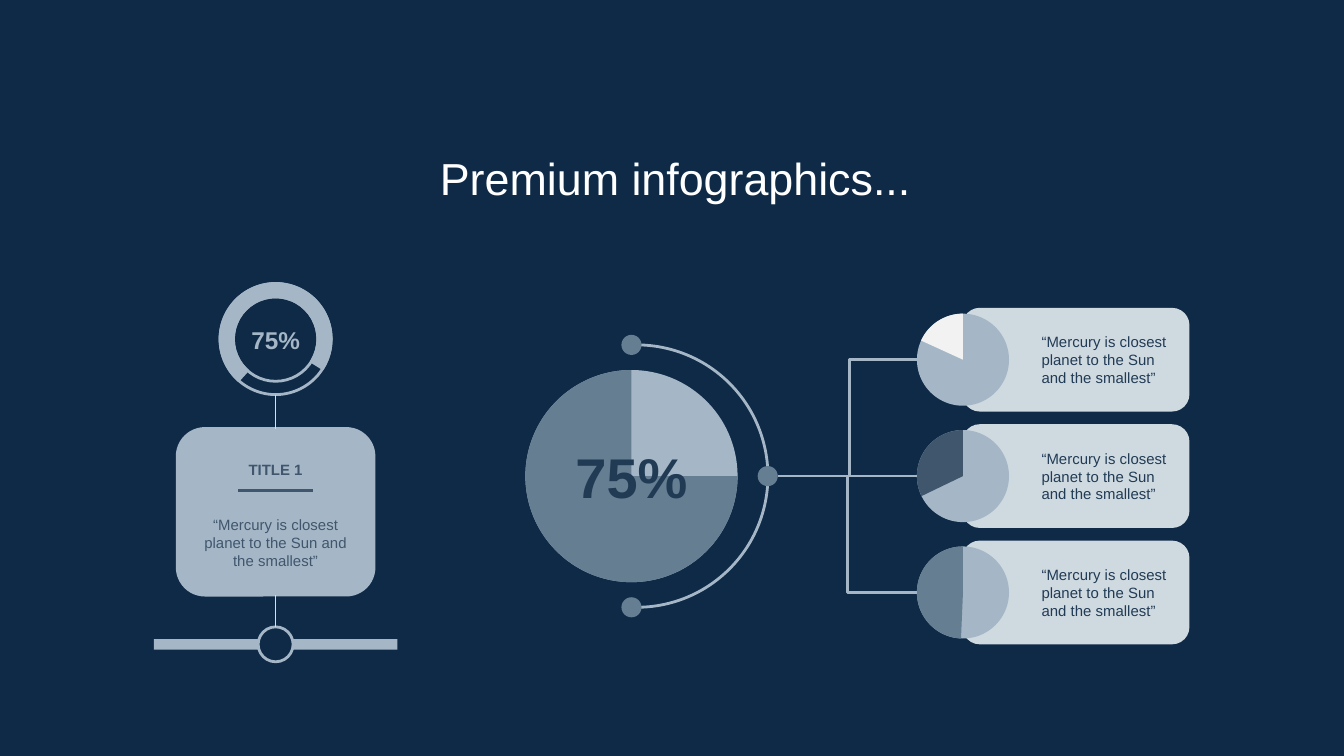
from dataclasses import dataclass

from lxml import etree
from pptx import Presentation
from pptx import util as u
from pptx.dml.color import RGBColor
from pptx.enum import shapes, text
from pptx.oxml.ns import qn

SHAPE = shapes.MSO_SHAPE
QUOTE = "“Mercury is closest planet to the Sun and the smallest”"


@dataclass(frozen=True)
class Theme:
    navy: str = "0E2A47"
    ink: str = "213B55"
    slate: str = "40566D"
    steel: str = "667E92"
    mist: str = "A5B7C6"
    stem: str = "D7DFE5"
    card: str = "CFD9E0"
    pale: str = "F2F2F2"
    white: str = "FFFFFF"
    font: str = "Arial"
    title_size: float = 24
    gauge_size: float = 30
    ring_size: float = 13
    body_size: float = 8
    line: float = 1.5
    thin_line: float = 0.75


@dataclass(frozen=True)
class Box:
    left: float
    top: float
    width: float
    height: float

    @property
    def center_x(self):
        return self.left + self.width / 2

    @property
    def center_y(self):
        return self.top + self.height / 2

    def lengths(self):
        return [u.Cm(n) for n in (self.left, self.top, self.width, self.height)]


THEME = Theme()


def centered(x, y, width, height=None):
    height = height or width
    return Box(x - width / 2, y - height / 2, width, height)


def color(value):
    return RGBColor.from_string(value)


def add_shape(parent, kind, box, fill=None, line=None, adjustments=()):
    shape = parent.shapes.add_shape(kind, *box.lengths())
    shape.shadow.inherit = False
    for index, value in enumerate(adjustments):
        shape.adjustments[index] = value
    if fill:
        shape.fill.solid()
        shape.fill.fore_color.rgb = color(fill)
    else:
        shape.fill.background()
    if line:
        shape.line.color.rgb = color(line)
        shape.line.width = u.Pt(THEME.line)
    else:
        shape.line.fill.background()
    return shape


def write(shape, words, size, ink, bold=False, align=text.PP_ALIGN.CENTER,
          anchor=text.MSO_ANCHOR.MIDDLE):
    frame = shape.text_frame
    frame.word_wrap = True
    frame.auto_size = text.MSO_AUTO_SIZE.NONE
    frame.vertical_anchor = anchor
    frame.margin_left = frame.margin_right = u.Cm(0.25)
    frame.margin_top = frame.margin_bottom = u.Cm(0.25)
    paragraph = frame.paragraphs[0]
    paragraph.alignment = align
    run = paragraph.add_run()
    run.text = words
    run.font.name = THEME.font
    run.font.size = u.Pt(size)
    run.font.bold = bold
    run.font.color.rgb = color(ink)


def add_text(slide, box, *args, **options):
    write(slide.shapes.add_textbox(*box.lengths()), *args, **options)


def add_line(slide, start, end, ink, width=THEME.line, bend=None):
    kinds = shapes.MSO_CONNECTOR
    kind = kinds.STRAIGHT if bend is None else kinds.ELBOW
    connector = slide.shapes.add_connector(kind, *[u.Cm(n) for n in start + end])
    connector.line.color.rgb = color(ink)
    connector.line.width = u.Pt(width)
    properties = connector._element.spPr
    etree.SubElement(properties, qn("a:effectLst"))
    if bend is not None:
        guides = properties.find(".//" + qn("a:avLst"))
        etree.SubElement(guides, qn("a:gd"), name="adj1", fmla=f"val {round(bend * 100000)}")


def add_pie(slide, box, wedge_color, start, end):
    group = slide.shapes.add_group_shape()
    add_shape(group, SHAPE.OVAL, box, THEME.mist)
    add_shape(group, SHAPE.PIE, box, wedge_color, adjustments=(start, end))


def add_title(slide, box):
    title = slide.shapes.title
    title.left, title.top, title.width, title.height = box.lengths()
    write(title, "Premium infographics...", THEME.title_size, THEME.white,
          anchor=text.MSO_ANCHOR.TOP)


def add_timeline_card(slide, box):
    x = box.center_x
    ring = Box(x - 1.05, box.top, 2.1, 2.1)
    card = Box(x - 1.86, box.top + 2.74, 3.72, 3.15)
    knob = Box(x - 0.33, box.top + box.height - 0.66, 0.66, 0.66)

    add_shape(slide, SHAPE.RECTANGLE, centered(x, knob.center_y, box.width, 0.2), THEME.mist)
    group = slide.shapes.add_group_shape()
    add_shape(group, SHAPE.DONUT, ring, line=THEME.mist, adjustments=(0.12,))
    add_shape(group, SHAPE.BLOCK_ARC, ring, THEME.mist, THEME.mist, (79.14, 19.26, 0.12))
    add_shape(slide, SHAPE.ROUNDED_RECTANGLE, card, THEME.mist, THEME.mist)
    add_shape(slide, SHAPE.OVAL, knob, THEME.navy, THEME.mist)

    for upper, lower in ((ring, card), (card, knob)):
        add_line(slide, (x, upper.top + upper.height), (x, lower.top),
                 THEME.stem, THEME.thin_line)
    rule_y = card.top + 1.17
    add_line(slide, (x - 0.71, rule_y), (x + 0.71, rule_y), THEME.slate)
    add_text(slide, centered(x, card.top + 0.77, 2.34, 0.61), "TITLE 1",
             THEME.body_size, THEME.slate, bold=True)
    add_text(slide, centered(x, card.top + 2.15, 3.23, 1.27), QUOTE,
             THEME.body_size, THEME.slate)
    add_text(slide, centered(x, ring.center_y + 0.02, 1.6, 1.02), "75%",
             THEME.ring_size, THEME.mist, bold=True)


def add_gauge(slide, box):
    dot, pie = 0.38, 4.01
    x, y = box.left + pie / 2, box.center_y
    reach = (box.height - dot) / 2
    add_shape(slide, SHAPE.ARC, centered(x + 0.1, y, 2 * reach), line=THEME.mist,
              adjustments=(162, 52.98))
    add_pie(slide, centered(x, y, pie), THEME.steel, 0, 162)
    right_dot = box.left + box.width - dot / 2
    for dot_x, dot_y in ((x, y - reach), (x, y + reach), (right_dot, y)):
        add_shape(slide, SHAPE.OVAL, centered(dot_x, dot_y, dot), THEME.steel)
    add_text(slide, centered(x, y, 2.77, 1.75), "75%", THEME.gauge_size, THEME.ink, bold=True)


def add_quote_card(slide, box, wedge_color, wedge_start):
    pie = 1.74
    card = Box(box.left + 0.86, box.top, box.width - 0.86, box.height)
    add_shape(slide, SHAPE.ROUNDED_RECTANGLE, card, THEME.card)
    add_text(slide, centered(box.left + 3.68, box.center_y, 3.15, 1.22), QUOTE,
             THEME.body_size, THEME.ink, align=text.PP_ALIGN.LEFT)
    add_pie(slide, centered(box.left + pie / 2, box.center_y, pie), wedge_color,
            wedge_start, 162)


def add_branches(slide, box, start):
    pitch = 2.2
    branches = (
        (THEME.pale, 122.72, 0.515),
        (THEME.slate, 92.53, 0.5),
        (THEME.steel, 55.44, 0.5),
    )
    for index, (wedge_color, wedge_start, bend) in enumerate(branches):
        card = Box(box.left, box.top + index * pitch, box.width, box.height - 2 * pitch)
        add_quote_card(slide, card, wedge_color, wedge_start)
        add_line(slide, start, (card.left, card.center_y), THEME.mist, bend=bend)


def main():
    presentation = Presentation()
    presentation.slide_width, presentation.slide_height = u.Cm(25.4), u.Cm(14.29)
    slide = presentation.slides.add_slide(presentation.slide_layouts.get_by_name("Title Only"))
    slide.background.fill.solid()
    slide.background.fill.fore_color.rgb = color(THEME.navy)

    gauge = Box(9.93, 6.33, 4.77, 5.34)
    add_title(slide, Box(2.97, 2.59, 19.58, 1.35))
    add_timeline_card(slide, Box(2.91, 5.36, 4.6, 7.15))
    add_gauge(slide, gauge)
    add_branches(slide, Box(17.33, 5.82, 5.15, 6.36),
                 (gauge.left + gauge.width, gauge.center_y))
    presentation.save("out.pptx")


if __name__ == "__main__":
    main()
